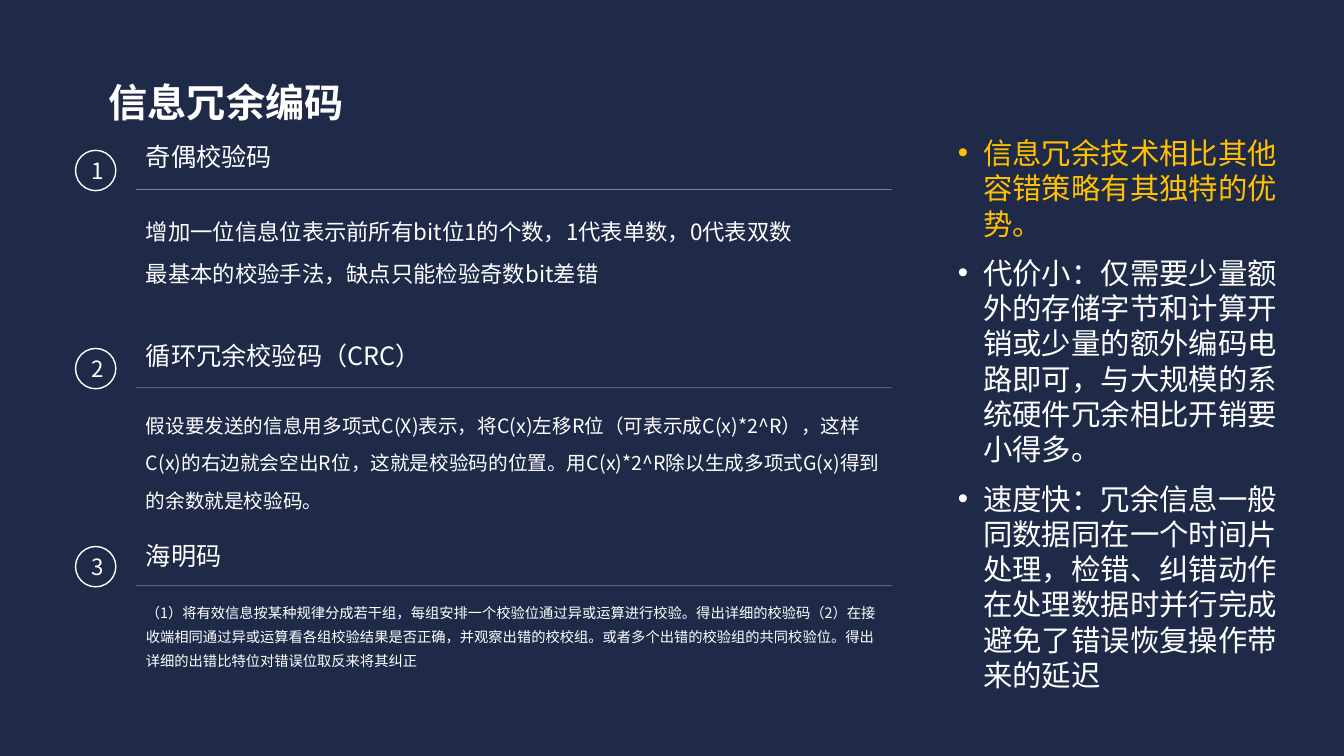
from pptx import Presentation
from pptx.dml.color import RGBColor
from pptx.enum.shapes import MSO_CONNECTOR, MSO_SHAPE
from pptx.enum.text import MSO_ANCHOR, PP_ALIGN
from pptx.oxml.ns import qn
from pptx.util import Pt
from lxml.etree import SubElement

NAVY = RGBColor(0x1E, 0x2A, 0x47)
WHITE = RGBColor(0xFF, 0xFF, 0xFF)
PALE = RGBColor(0xF2, 0xF2, 0xF2)
AMBER = RGBColor(0xFF, 0xC0, 0x00)
SANS = "Noto Sans CJK SC"

RULE_LEFT, RULE_WIDTH = 97.2, 540
FIRST_RULE, RULE_STEP = 135.4, 141.5
FIRST_HEADING, HEADING_STEP = 93, 142.5
CIRCLE_SIZE = 28.8

# heading, paragraphs, text size, line spacing, text height
CODES = [
    ("奇偶校验码",
     ["增加一位信息位表示前所有bit位1的个数，1代表单数，0代表双数",
      "最基本的校验手法，缺点只能检验奇数bit差错"], 16, 1.6, 70),
    ("循环冗余校验码（CRC）",
     ["假设要发送的信息用多项式C(X)表示，将C(x)左移R位（可表示成C(x)*2^R），"
      "这样C(x)的右边就会空出R位，这就是校验码的位置。"
      "用C(x)*2^R除以生成多项式G(x)得到的余数就是校验码。"], 14, 1.6, 91.5),
    ("海明码",
     ["（1）将有效信息按某种规律分成若干组，每组安排一个校验位通过异或运算进行校验。"
      "得出详细的校验码（2）在接收端相同通过异或运算看各组校验结果是否正确，"
      "并观察出错的校校组。或者多个出错的校验组的共同校验位。"
      "得出详细的出错比特位对错误位取反来将其纠正"], 10.2, 1.4, 54.7),
]

ADVANTAGES = [
    ("信息冗余技术相比其他容错策略有其独特的优势。", AMBER),
    ("代价小：仅需要少量额外的存储字节和计算开销或少量的额外编码电路即可，"
     "与大规模的系统硬件冗余相比开销要小得多。", WHITE),
    ("速度快：冗余信息一般同数据同在一个时间片处理，检错、纠错动作在处理数据时"
     "并行完成避免了错误恢复操作带来的延迟", WHITE),
]


def style_runs(paragraph, size, color=WHITE, latin=SANS, bold=False):
    for run in paragraph.runs:
        run.font.size = Pt(size)
        run.font.bold = bold
        run.font.color.rgb = color
        run.font.name = latin
        SubElement(run.font._element, qn("a:ea"), typeface=SANS)


def add_text(slide, left, top, width, height, lines, size, spacing, **style):
    box = slide.shapes.add_textbox(Pt(left), Pt(top), Pt(width), Pt(height))
    frame = box.text_frame
    frame.word_wrap = True
    frame.text = "\n".join(lines)
    for paragraph in frame.paragraphs:
        paragraph.line_spacing = spacing
        style_runs(paragraph, size, **style)
    return frame


def add_rule(slide, top):
    rule = slide.shapes.add_connector(
        MSO_CONNECTOR.STRAIGHT, Pt(RULE_LEFT), Pt(top),
        Pt(RULE_LEFT + RULE_WIDTH), Pt(top))
    rule.line.width = Pt(0.5)
    rule.line.color.rgb = PALE
    tint = rule.line._ln.find(".//" + qn("a:srgbClr"))
    SubElement(tint, qn("a:alpha"), val="44000")
    SubElement(rule._element.spPr, qn("a:effectLst"))


def add_number(slide, number, top):
    circle = slide.shapes.add_shape(
        MSO_SHAPE.OVAL, Pt(54), Pt(top), Pt(CIRCLE_SIZE), Pt(CIRCLE_SIZE))
    circle.shadow.inherit = False
    circle.fill.background()
    circle.line.color.rgb = WHITE
    circle.line.width = Pt(1)
    frame = circle.text_frame
    frame.vertical_anchor = MSO_ANCHOR.MIDDLE
    frame.text = str(number)
    frame.paragraphs[0].alignment = PP_ALIGN.CENTER
    style_runs(frame.paragraphs[0], 16)


def add_code(slide, index, heading, lines, size, spacing, height):
    rule_top = FIRST_RULE + index * RULE_STEP
    add_rule(slide, rule_top)
    add_text(slide, RULE_LEFT, FIRST_HEADING + index * HEADING_STEP,
             RULE_WIDTH, 42.5, [heading], 18, 1.2)
    add_text(slide, RULE_LEFT, rule_top + 5, RULE_WIDTH, height,
             lines, size, spacing)
    add_number(slide, index + 1, rule_top - 28)


def add_bullet(paragraph, color):
    properties = paragraph._p.get_or_add_pPr()
    properties.set("marL", str(Pt(18)))
    properties.set("indent", str(-Pt(18)))
    bullet_color = SubElement(properties, qn("a:buClr"))
    SubElement(bullet_color, qn("a:srgbClr"), val=str(color))
    SubElement(properties, qn("a:buFont"), typeface="Arial")
    SubElement(properties, qn("a:buChar"), char="•")


def add_advantages(slide):
    frame = add_text(slide, 677.5, 93, 260, 409.7,
                     [text for text, _ in ADVANTAGES], 21, 1.0)
    for index, (paragraph, (_, color)) in enumerate(
            zip(frame.paragraphs, ADVANTAGES)):
        if index:
            paragraph.space_before = Pt(10)
        add_bullet(paragraph, color)
        for run in paragraph.runs:
            run.font.color.rgb = color


def main():
    deck = Presentation()
    deck.slide_width, deck.slide_height = Pt(960.5), Pt(540)
    slide = deck.slides.add_slide(deck.slide_layouts[6])
    slide.background.fill.solid()
    slide.background.fill.fore_color.rgb = NAVY
    add_text(slide, 70.6, 46, 821.5, 62.6, ["信息冗余编码"], 28, 1.2,
             latin="Arial", bold=True)
    for index, code in enumerate(CODES):
        add_code(slide, index, *code)
    add_advantages(slide)
    deck.save("out.pptx")


if __name__ == "__main__":
    main()
